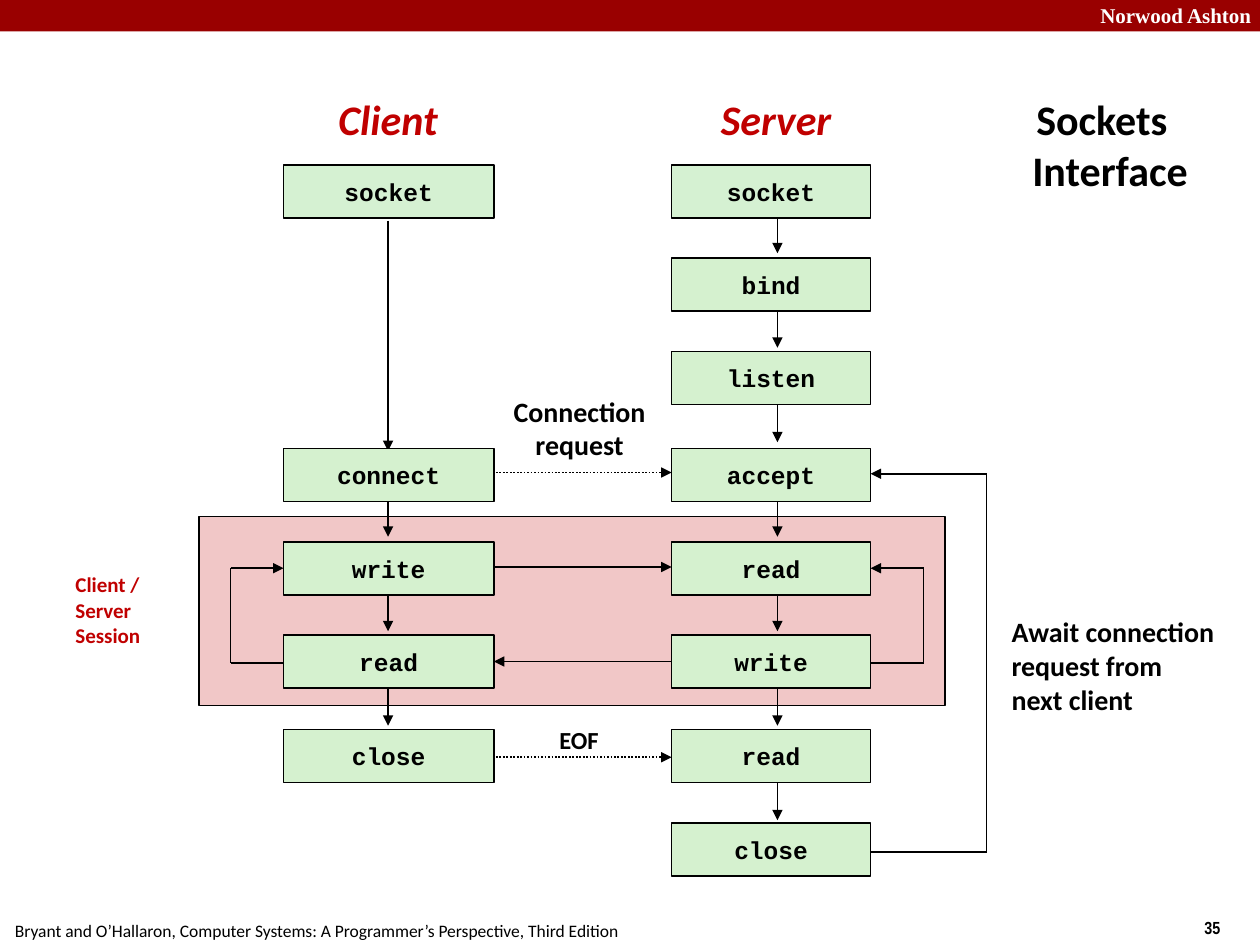
import pptx
import pptx.dml.color
import pptx.enum.dml
import pptx.enum.shapes
import pptx.enum.text
import pptx.oxml
import pptx.oxml.ns
import pptx.util
from pptx.util import Inches

ALIGN = pptx.enum.text.PP_ALIGN
BLACK, RED = "000000", "C00000"
BOX_HEIGHT = 0.42
ROW_TOPS = [1.31, 2.05, 2.79, 3.56, 4.3, 5.04, 5.79, 6.53]
FIRST_ARROW, ARROW_PITCH, ARROW_LENGTH = 1.68, 0.75, 0.33
CLIENT = {"left": 2.25, "width": 1.67, "axis": 3.08}
SERVER = {"left": 5.33, "width": 1.58, "axis": 6.17}
CLIENT_RIGHT = CLIENT["left"] + CLIENT["width"]
SERVER_RIGHT = SERVER["left"] + SERVER["width"]


def color(value):
    return pptx.dml.color.RGBColor.from_string(value)


def write_text(shape, text, size, font="Calibri", fill=BLACK, bold=True,
               italic=False, align=ALIGN.LEFT, wrap=False, middle=True):
    frame = shape.text_frame
    frame.word_wrap = wrap
    anchor = pptx.enum.text.MSO_ANCHOR
    frame.vertical_anchor = anchor.MIDDLE if middle else anchor.TOP
    frame.text = text
    for paragraph in frame.paragraphs:
        paragraph.alignment = align
        paragraph.font.name = font
        paragraph.font.size = pptx.util.Pt(size)
        paragraph.font.bold = bold
        paragraph.font.italic = italic
        paragraph.font.color.rgb = color(fill)


def add_text(slide, box, text, size, **style):
    shape = slide.shapes.add_textbox(*map(Inches, box))
    write_text(shape, text, size, **style)


def add_box(slide, box, fill, line=BLACK):
    shape = slide.shapes.add_shape(
        pptx.enum.shapes.MSO_SHAPE.RECTANGLE, *map(Inches, box))
    shape.shadow.inherit = False
    shape.fill.solid()
    shape.fill.fore_color.rgb = color(fill)
    if line:
        shape.line.color.rgb = color(line)
        shape.line.width = pptx.util.Pt(1)
    else:
        shape.line.fill.background()
    return shape


def add_line(slide, start, end, arrow=True, dotted=False):
    connector = slide.shapes.add_connector(
        pptx.enum.shapes.MSO_CONNECTOR.STRAIGHT, *map(Inches, start + end))
    connector.line.color.rgb = color(BLACK)
    connector.line.width = pptx.util.Pt(1)
    if dotted:
        connector.line.dash_style = pptx.enum.dml.MSO_LINE.ROUND_DOT
    if arrow:
        outline = connector.line._get_or_add_ln()
        outline.append(pptx.oxml.parse_xml(
            f'<a:tailEnd {pptx.oxml.ns.nsdecls("a")} type="triangle"/>'))
    properties = connector._element.spPr
    properties.append(pptx.oxml.parse_xml(
        f'<a:effectLst {pptx.oxml.ns.nsdecls("a")}/>'))


def add_loop(slide, box_edge, outer, bottom, top):
    add_line(slide, (box_edge, bottom), (outer, bottom), arrow=False)
    add_line(slide, (outer, bottom), (outer, top), arrow=False)
    add_line(slide, (outer, top), (box_edge, top))


def add_frame(slide):
    add_box(slide, (0, 0, 10, 0.25), "990000", line=None)
    add_text(slide, (8.53, -0.03, 1.5, 0.3), "Norwood Ashton", 12,
             font="Times New Roman", fill="FFFFFF", align=ALIGN.RIGHT,
             middle=False, wrap=True)
    add_text(slide, (9.46, 7.23, 0.75, 0.27), "35", 10,
             font="Arial Narrow", middle=False, wrap=True)
    add_text(slide, (0.02, 7.25, 5.01, 0.27),
             "Bryant and O’Hallaron, Computer Systems: "
             "A Programmer’s Perspective, Third Edition",
             10, bold=False, middle=False)


def add_title(slide, box):
    title = slide.shapes.title
    title.left, title.top, title.width, title.height = map(Inches, box)
    write_text(title, "Sockets Interface", 24, align=ALIGN.CENTER, wrap=True)
    title.text_frame.auto_size = pptx.enum.text.MSO_AUTO_SIZE.NONE
    properties = title.text_frame.paragraphs[0]._p.get_or_add_pPr()
    properties.set("marL", str(Inches(0.13)))
    properties.set("indent", str(Inches(-0.13)))


def add_session(slide, box):
    add_box(slide, box, "F1C7C7")
    left, top, width, height = box
    bottom, loop_top = top + 1.16, top + 0.41
    add_loop(slide, SERVER_RIGHT, left + width - 0.17, bottom, loop_top)
    add_loop(slide, CLIENT["left"], left + 0.25, bottom, loop_top)
    add_line(slide, (CLIENT_RIGHT, top + 0.4), (SERVER["left"], top + 0.4))
    add_line(slide, (SERVER["left"], top + 1.15), (CLIENT_RIGHT, top + 1.15))
    add_text(slide, (0.5, top + 0.39, 0.92, 0.7), "Client / Server\nSession",
             12, fill=RED, wrap=True)


def add_column(slide, column, heading, heading_box, calls, arrow_rows):
    add_text(slide, heading_box, heading, 24, fill=RED, italic=True,
             align=ALIGN.CENTER)
    for row in arrow_rows:
        top = FIRST_ARROW + row * ARROW_PITCH
        add_line(slide, (column["axis"], top),
                 (column["axis"], top + ARROW_LENGTH))
    for row, call in calls.items():
        box = add_box(slide, (column["left"], ROW_TOPS[row], column["width"],
                              BOX_HEIGHT), "D5F1CF" if row else "D5F1D2")
        write_text(box, call, 14, font="Courier New", align=ALIGN.CENTER)


def add_messages(slide):
    for height in (3.75, 6.01):
        add_line(slide, (3.33, height), (SERVER["left"], height), dotted=True)
    add_text(slide, (3.9, 3.08, 1.4, 0.63), "Connection\nrequest", 16,
             align=ALIGN.CENTER)
    add_text(slide, (4.29, 5.71, 0.61, 0.33), "EOF", 14, align=ALIGN.CENTER)
    add_loop(slide, SERVER_RIGHT, 7.83, 6.76, 3.76)
    add_text(slide, (7.93, 4.83, 1.81, 0.9),
             "Await connection\nrequest from\nnext client", 16)


def main():
    presentation = pptx.Presentation()
    presentation.slide_width = Inches(10)
    presentation.slide_height = Inches(7.5)
    slide = presentation.slides.add_slide(presentation.slide_layouts[5])
    add_frame(slide)
    add_title(slide, (7.58, 0.49, 2.33, 1.31))
    add_session(slide, (1.58, 4.1, 5.92, 1.5))
    add_messages(slide)
    add_line(slide, (CLIENT["axis"], 1.75), (CLIENT["axis"], 3.58))
    add_column(slide, CLIENT, "Client", (2.48, 0.69, 1.2, 0.5),
               {0: "socket", 3: "connect", 4: "write", 5: "read", 6: "close"},
               range(3, 6))
    server_calls = ["socket", "bind", "listen", "accept",
                    "read", "write", "read", "close"]
    add_column(slide, SERVER, "Server", (5.51, 0.69, 1.3, 0.5),
               dict(enumerate(server_calls)), range(7))
    presentation.save("out.pptx")


if __name__ == "__main__":
    main()
